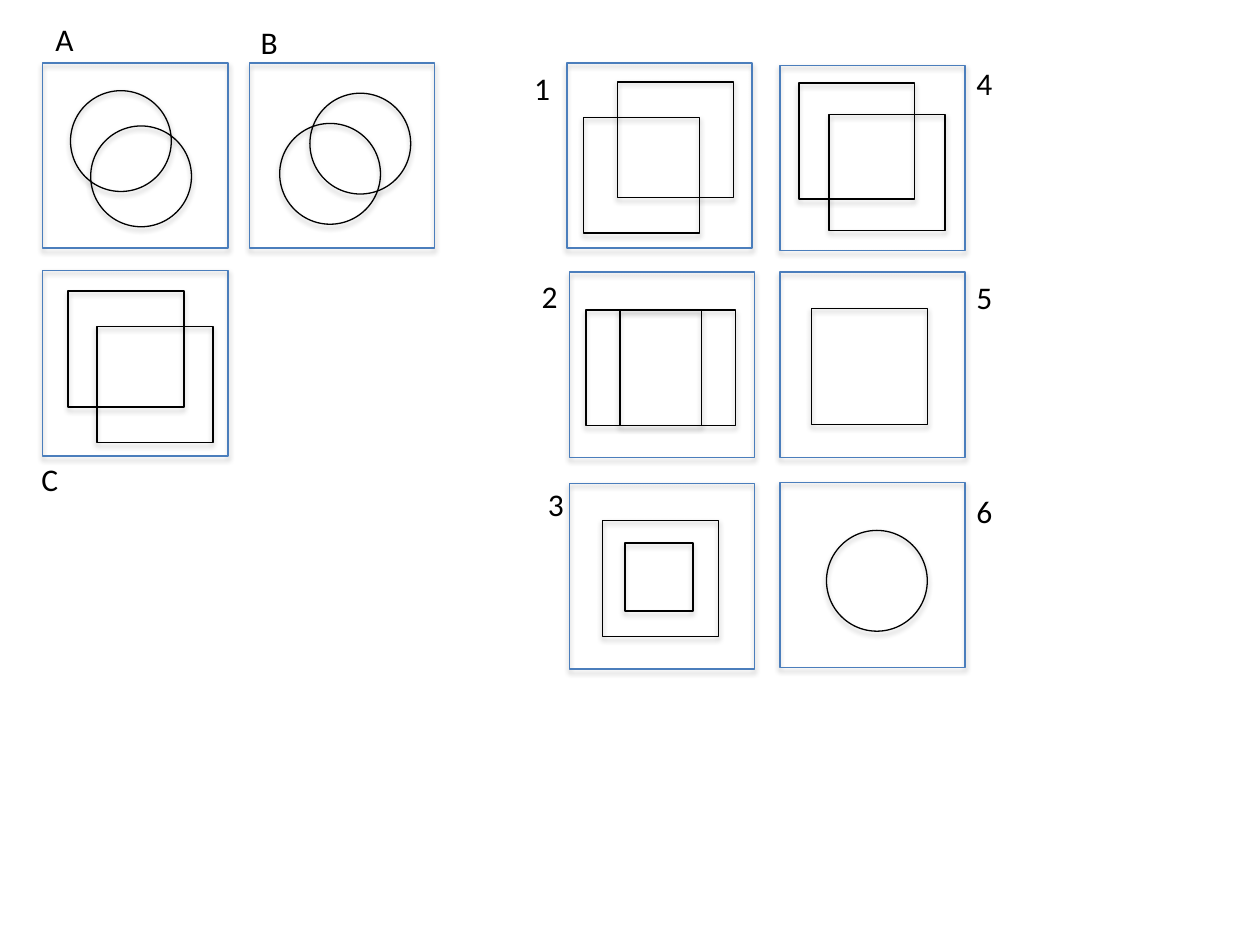
from lxml import etree
from pptx import Presentation
from pptx.dml.color import RGBColor
from pptx.enum.shapes import MSO_SHAPE
from pptx.enum.text import MSO_AUTO_SIZE
from pptx.oxml.ns import qn
from pptx.util import Inches, Pt

RECT, OVAL = MSO_SHAPE.RECTANGLE, MSO_SHAPE.OVAL
FIT_TEXT = MSO_AUTO_SIZE.SHAPE_TO_FIT_TEXT
FRAME_BLUE, INK = "4B7EBC", "000000"
FRAME, SQUARE, SMALL_SQUARE, CIRCLE = 1.47, 0.92, 0.54, 0.8
LABEL_WIDTH, LABEL_HEIGHT = 0.59, 0.4

# label, frame corner, label offset, figures as (kind, size, left, top) within the frame
PANELS = [
    ("A", (0.34, 0.5), (0, -0.39),
     [(OVAL, CIRCLE, 0.22, 0.22), (OVAL, CIRCLE, 0.38, 0.5)]),
    ("B", (1.98, 0.5), (-0.01, -0.37),
     [(OVAL, CIRCLE, 0.24, 0.48), (OVAL, CIRCLE, 0.48, 0.24)]),
    ("C", (0.34, 2.15), (-0.11, 1.45),
     [(RECT, SQUARE, 0.2, 0.16), (RECT, SQUARE, 0.43, 0.44)]),
    ("1", (4.5, 0.5), (-0.36, 0),
     [(RECT, SQUARE, 0.13, 0.43), (RECT, SQUARE, 0.4, 0.15)]),
    ("2", (4.52, 2.16), (-0.32, -0.01),
     [(RECT, SQUARE, 0.13, 0.3), (RECT, SQUARE, 0.4, 0.3)]),
    ("3", (4.52, 3.84), (-0.27, -0.04),
     [(RECT, SMALL_SQUARE, 0.44, 0.47), (RECT, SQUARE, 0.26, 0.29)]),
    ("4", (6.19, 0.52), (1.46, -0.06),
     [(RECT, SQUARE, 0.39, 0.39), (RECT, SQUARE, 0.15, 0.14)]),
    ("5", (6.19, 2.16), (1.46, 0), [(RECT, SQUARE, 0.25, 0.29)]),
    ("6", (6.19, 3.83), (1.46, 0.03), [(OVAL, CIRCLE, 0.37, 0.38)]),
]


def color(hex_value):
    """Turn a hex string into a colour."""
    return RGBColor.from_string(hex_value)


def add_shadow(shape):
    """Give the shape a soft shadow falling straight down."""
    shape.shadow.inherit = False
    effects = shape._element.spPr.find(qn("a:effectLst"))
    shadow = etree.SubElement(effects, qn("a:outerShdw"), blurRad=str(Pt(3.1)),
                              dist=str(Pt(1.8)), dir="5400000", rotWithShape="0")
    tint = etree.SubElement(shadow, qn("a:srgbClr"), val=INK)
    etree.SubElement(tint, qn("a:alpha"), val="35000")


def add_outline(slide, kind, left, top, size, line_color):
    """Draw an unfilled outline of equal width and height."""
    outline = slide.shapes.add_shape(
        kind, Inches(left), Inches(top), Inches(size), Inches(size))
    outline.fill.background()
    outline.line.color.rgb = color(line_color)
    outline.line.width = Pt(0.75)
    add_shadow(outline)


def add_label(slide, label, left, top):
    """Write the letter or number of a panel."""
    box = slide.shapes.add_textbox(
        Inches(left), Inches(top), Inches(LABEL_WIDTH), Inches(LABEL_HEIGHT))
    box.text_frame.word_wrap = True
    box.text_frame.auto_size = FIT_TEXT
    paragraph = box.text_frame.paragraphs[0]
    paragraph.text = label
    paragraph.font.name = "Calibri"
    paragraph.font.size = Pt(18)
    paragraph.font.color.rgb = color(INK)


def add_panel(slide, label, corner, label_offset, figures):
    """Place a frame with its figures and its label."""
    left, top = corner
    add_outline(slide, RECT, left, top, FRAME, FRAME_BLUE)
    for kind, size, dx, dy in figures:
        add_outline(slide, kind, left + dx, top + dy, size, INK)
    add_label(slide, label, left + label_offset[0], top + label_offset[1])


def main():
    """Build the slide and save it."""
    deck = Presentation()
    deck.slide_width, deck.slide_height = Inches(10), Inches(7.5)
    slide = deck.slides.add_slide(deck.slide_layouts[6])
    for panel in PANELS:
        add_panel(slide, *panel)
    deck.save("out.pptx")


main()
